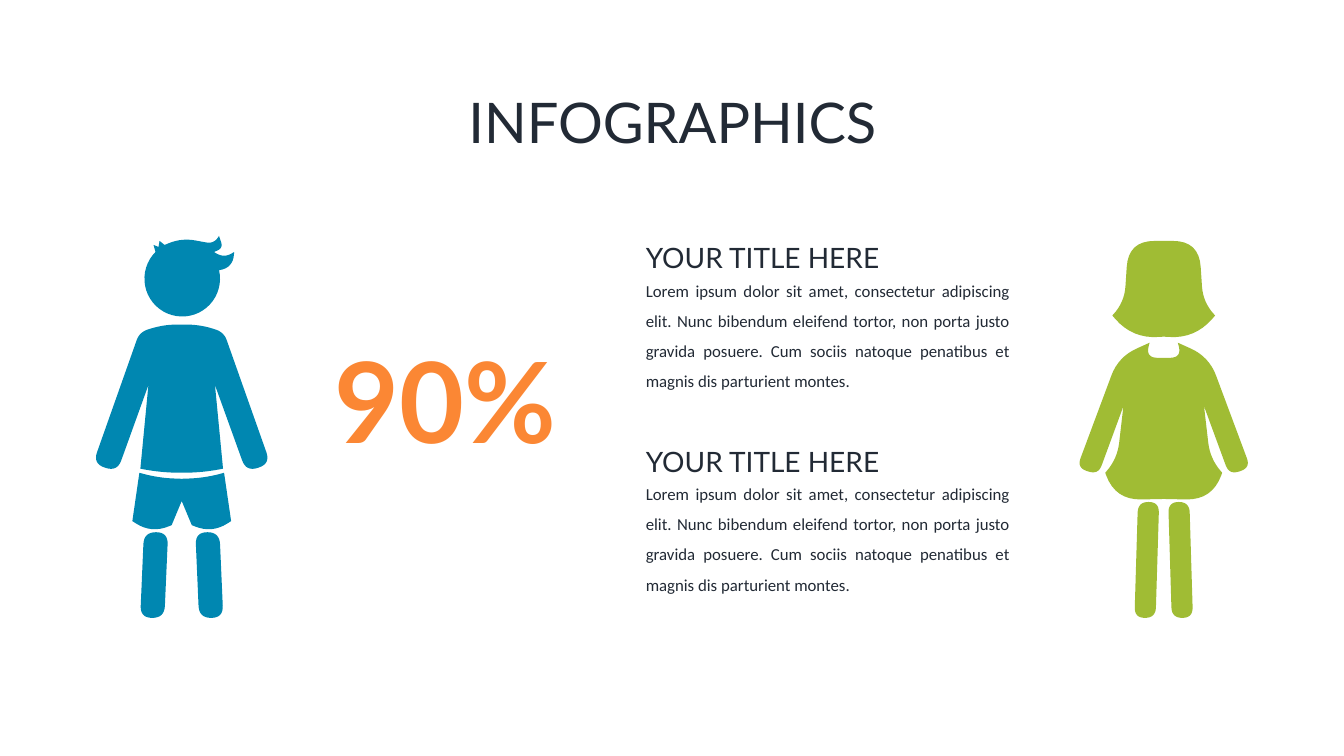
import math

import pptx
import pptx.dml.color
import pptx.enum.text
import pptx.util

Pt = pptx.util.Pt
ALIGN = pptx.enum.text.PP_ALIGN
FIT = pptx.enum.text.MSO_AUTO_SIZE
BLUE = pptx.dml.color.RGBColor(0x00, 0x87, 0xB1)
GREEN = pptx.dml.color.RGBColor(0xA0, 0xBC, 0x34)
ORANGE = pptx.dml.color.RGBColor(0xFB, 0x87, 0x34)
DARK = pptx.dml.color.RGBColor(0x22, 0x2A, 0x35)

UNIT = 0.72  # points per grid step of the figures
BOY_AXIS, GIRL_AXIS = 180.3, 1154.5
STEPS = 8  # line segments in a rounded corner

LOREM = ("Lorem ipsum dolor sit amet, consectetur adipiscing elit. Nunc "
         "bibendum eleifend tortor, non porta justo gravida posuere. Cum "
         "sociis natoque penatibus et magnis dis parturient montes.")

# A corner is (x from the figure's axis, y from the slide top, reach):
# the outline leaves the corner's edges that far before it, in a curve.
# Reach 0 keeps it sharp. Half outlines run from axis to axis.
NECK, COLLAR = (0, 322, 0), (20, 322, 16)
SHOULDER, ARMPIT = (42, 330, 8), (33, 382, 0)
HAND = [(88, 460, 12), (64, 468, 12)]
WAIST = [(41, 465, 0), (20, 469, 18), (0, 469, 0)]
SHIRT = [NECK, COLLAR, SHOULDER, *HAND, ARMPIT, *WAIST]

BELT = [(0, 475, 0), (25, 474, 17), (42, 469, 0)]
CUFF = [(49, 517, 0), (30, 529, 18), (10, 521, 0)]
CROTCH = (0, 497, 0)
SHORTS = [*BELT, *CUFF, CROTCH]

SPIKES = [(-28, 243, 0), (-23, 245, 0), (-22, 239, 0), (-17, 243, 0)]
FRINGE = [(0, 236, 14), (32, 242, 8), (37, 234, 0)]
CURL = [(41, 246, 6), (32, 250, 0), (42, 256, 9), (52, 250, 0),
        (51, 266, 14)]
TUFT = SPIKES + FRINGE + CURL

CROWN = [(0, 239, 0), (35, 239, 26)]
LOCK = [(39, 300, 16), (51, 313, 0)]
NAPE = [(31, 336, 26), (0, 334, 0)]
HAIR = CROWN + LOCK + NAPE

NECKLINE = [(0, 355, 0), (18, 355, 12), (14, 340, 0)]
SLEEVE = [(45, 354, 20), (86, 464, 10), (65, 471, 10), (40, 403, 0)]
SKIRT = [(46, 455, 16), (58, 469, 0), (48, 496, 26), (0, 495, 0)]
DRESS = NECKLINE + SLEEVE + SKIRT


def mirror(corners):
    return [(-x, y, reach) for x, y, reach in reversed(corners)]


def whole(half):
    return half + mirror(half)


def limb(top_x, top, end_x, end, width):
    """Corners of a slanted bar with round ends."""
    half = width / 2
    return [(top_x - half, top, half), (top_x + half, top, half),
            (end_x + half, end, half), (end_x - half, end, half)]


def arc(x, y, radius, start, stop):
    """Sharp corners along a circle, angles in degrees clockwise."""
    turns = [math.radians(a) for a in range(start, stop + 1, 7)]
    return [(x + radius * math.cos(t), y + radius * math.sin(t), 0)
            for t in turns]


def toward(corner, other):
    """Point on the edge to the other corner, at the corner's reach."""
    x, y, reach = corner
    part = reach / math.dist(corner[:2], other[:2])
    return x + (other[0] - x) * part, y + (other[1] - y) * part


def soften(corners):
    """Turn corners into points, each round one as a quadratic curve."""
    dots = []
    for i, mid in enumerate(corners):
        if not mid[2]:
            dots.append(mid[:2])
            continue
        start = toward(mid, corners[i - 1])
        stop = toward(mid, corners[(i + 1) % len(corners)])
        for step in range(STEPS + 1):
            t = step / STEPS
            dots.append(tuple(
                (1 - t) ** 2 * a + 2 * t * (1 - t) * b + t * t * c
                for a, b, c in zip(start, mid, stop)))
    return dots


def write(frame, text, size, font="Lato", color=DARK, bold=False,
          align=ALIGN.LEFT, space=1.0):
    frame.word_wrap = True
    frame.vertical_anchor = pptx.enum.text.MSO_ANCHOR.TOP
    para = frame.paragraphs[0]
    para.alignment = align
    para.line_spacing = space
    run = para.add_run()
    run.text = text
    run.font.name = font
    run.font.size = Pt(size)
    run.font.bold = bold
    run.font.color.rgb = color


class Page:
    def __init__(self, deck):
        self.slide = deck.slides.add_slide(deck.slide_layouts[5])

    def title(self, text, left, top, width, height, **style):
        shape = self.slide.shapes.title
        shape.left, shape.top = Pt(left), Pt(top)
        shape.width, shape.height = Pt(width), Pt(height)
        write(shape.text_frame, text, **style)
        shape.text_frame.auto_size = FIT.NONE

    def text(self, text, left, top, width, height, **style):
        box = self.slide.shapes.add_textbox(
            Pt(left), Pt(top), Pt(width), Pt(height))
        write(box.text_frame, text, **style)
        box.text_frame.auto_size = FIT.SHAPE_TO_FIT_TEXT

    def figure(self, axis, color, parts):
        """Draw the parts as one group placed about the axis."""
        group = self.slide.shapes.add_group_shape()
        for part in parts:
            dots = [(Pt((axis + x) * UNIT), Pt(y * UNIT))
                    for x, y in soften(part)]
            pen = group.shapes.build_freeform(*dots[0])
            pen.add_line_segments(dots[1:], close=True)
            shape = pen.convert_to_shape()
            shape.shadow.inherit = False
            shape.fill.solid()
            shape.fill.fore_color.rgb = color
            shape.line.fill.background()


def main():
    deck = pptx.Presentation()
    deck.slide_width, deck.slide_height = Pt(960), Pt(540)
    page = Page(deck)

    head = arc(0.5, 276.5, 37.5, -13, 225) + TUFT
    leg = limb(25.5, 528, 29.2, 613, 24)
    page.figure(BOY_AXIS, BLUE, [
        whole(SHIRT), head, whole(SHORTS), mirror(leg), leg])
    leg = limb(15, 498, 18.5, 613, 21)
    page.figure(GIRL_AXIS, GREEN, [
        whole(HAIR), mirror(leg), leg, whole(DRESS)])

    page.text("90%", 224.6, 233.3, 187.2, 104.4, size=80, color=ORANGE,
              bold=True, align=ALIGN.CENTER)
    page.title("INFOGRAPHICS", 293.8, 59, 373, 55.4, size=40,
               align=ALIGN.CENTER)
    for top in (168.6, 313.9):
        page.text(LOREM, 454.2, top + 20.8, 274.3, 94.3, size=12,
                  font="Calibri", align=ALIGN.JUSTIFY, space=1.5)
        page.text("YOUR TITLE HERE", 454.2, top, 274.3, 31.7, size=20)
    deck.save("out.pptx")


if __name__ == "__main__":
    main()
